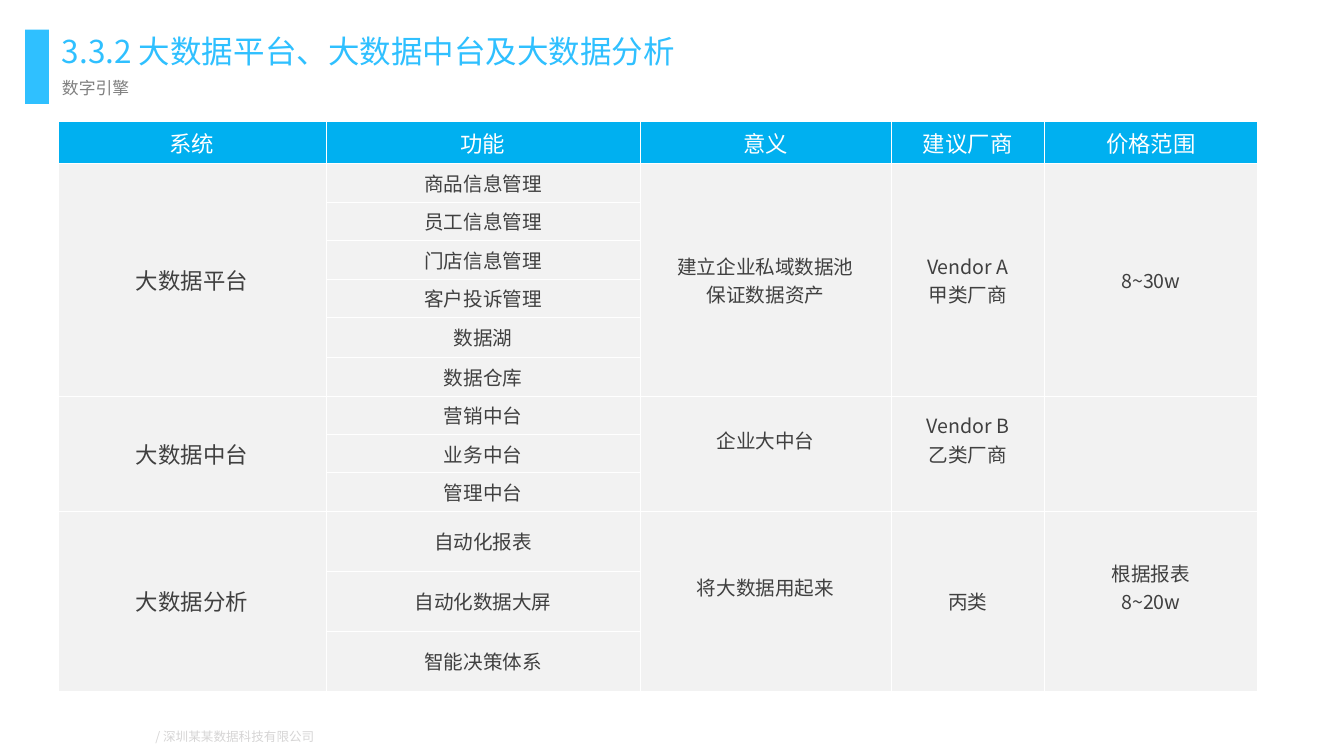
"""Build the slide on big data platforms, middle platforms and analysis."""
import pptx
import pptx.dml.color
import pptx.enum.shapes
import pptx.enum.text
import pptx.oxml
import pptx.oxml.ns
import pptx.util
from pptx.util import Inches

COLOURS = {
    "accent": "2FC0FF",
    "header": "00B0F0",
    "cell": "F2F2F2",
    "white": "FFFFFF",
    "text": "404040",
    "subtitle": "808080",
    "footer": "D6D5D5",
}
FONT = "Noto Sans CJK SC"
HEADINGS = ["系统", "功能", "意义", "建议厂商", "价格范围"]
COLUMN_WIDTHS = [5.32, 6.23, 4.98, 3.05, 4.22]
ROW_HEIGHTS = [0.83] + [0.75] * 4 + [0.8] + [0.75] * 4 + [1.19] * 3
BLANK_LINE = 0.56
SYSTEMS = [
    {
        "name": "大数据平台",
        "functions": ["商品信息管理", "员工信息管理", "门店信息管理",
                      "客户投诉管理", "数据湖", "数据仓库"],
        "details": [("建立企业私域数据池\n保证数据资产", 0), ("Vendor A\n甲类厂商", 0), ("8~30w", 0)],
    },
    {
        "name": "大数据中台",
        "functions": ["营销中台", "业务中台", "管理中台"],
        "details": [("企业大中台", BLANK_LINE), ("Vendor B\n乙类厂商", BLANK_LINE), ("", 0)],
    },
    {
        "name": "大数据分析",
        "functions": ["自动化报表", "自动化数据大屏", "智能决策体系"],
        "details": [("将大数据用起来", BLANK_LINE), ("丙类", 0), ("根据报表\n8~20w", BLANK_LINE)],
    },
]


def rgb(name):
    """Return the named palette colour."""
    return pptx.dml.color.RGBColor.from_string(COLOURS[name])


def write_text(frame, text, *, size, colour, align="CENTER"):
    """Fill a text frame with one formatted paragraph per line of text."""
    for index, line in enumerate(text.split("\n")):
        para = frame.add_paragraph() if index else frame.paragraphs[0]
        para.alignment = getattr(pptx.enum.text.PP_ALIGN, align)
        para.space_before = pptx.util.Pt(0)
        span = para.add_run()
        span.text = line
        span.font.size = pptx.util.Pt(size)
        span.font.bold = False
        span.font.color.rgb = rgb(colour)
        span.font.name = FONT
        east_asian = pptx.oxml.parse_xml(
            f'<a:ea {pptx.oxml.ns.nsdecls("a")} typeface="{FONT}"/>')
        span.font._element.append(east_asian)


def fill_box(box, place, text, **text_format):
    """Place a text box or placeholder and write its text."""
    box.left, box.top, box.width, box.height = map(Inches, place)
    frame = box.text_frame
    frame.word_wrap = True
    frame.auto_size = pptx.enum.text.MSO_AUTO_SIZE.NONE
    frame.vertical_anchor = pptx.enum.text.MSO_ANCHOR.MIDDLE
    frame.margin_left = frame.margin_right = Inches(0.08)
    frame.margin_top = frame.margin_bottom = Inches(0.08)
    write_text(frame, text, **text_format)


def add_accent_bar(page):
    """Draw the bar beside the title."""
    bar = page.shapes.add_shape(
        pptx.enum.shapes.MSO_SHAPE.RECTANGLE,
        Inches(0.5), Inches(0.59), Inches(0.47), Inches(1.47))
    bar.shadow.inherit = False
    bar.fill.solid()
    bar.fill.fore_color.rgb = rgb("accent")
    bar.line.fill.background()


def style_cell(cell, fill, bottom_width=1):
    """Give a cell white borders and a plain fill."""
    properties = cell._tc.get_or_add_tcPr()
    for side, width in (("L", 1), ("R", 1), ("T", 1), ("B", bottom_width)):
        properties.append(pptx.oxml.parse_xml(
            f'<a:ln{side} {pptx.oxml.ns.nsdecls("a")} w="{pptx.util.Pt(width)}"><a:solidFill>'
            f'<a:srgbClr val="{COLOURS["white"]}"/></a:solidFill></a:ln{side}>'))
    cell.fill.solid()
    cell.fill.fore_color.rgb = rgb(fill)


def fill_cell(cell, text, *, size=28, colour="text", margins=(0.2, 0.1), lift=0):
    """Write centred text in a cell, with extra room below when lifted."""
    side, edge = margins
    cell.vertical_anchor = pptx.enum.text.MSO_ANCHOR.MIDDLE
    cell.margin_left = cell.margin_right = Inches(side)
    cell.margin_top = Inches(edge)
    cell.margin_bottom = Inches(edge + lift)
    if text:
        write_text(cell.text_frame, text, size=size, colour=colour)


def add_system(table, top, system):
    """Write one system as a group of rows with merged outer cells."""
    bottom = top + len(system["functions"]) - 1
    for column in (0, 2, 3, 4):
        table.cell(top, column).merge(table.cell(bottom, column))
    fill_cell(table.cell(top, 0), system["name"], size=32, margins=(0.1, 0.03))
    for row, function in enumerate(system["functions"], top):
        fill_cell(table.cell(row, 1), function)
    for column, (text, lift) in enumerate(system["details"], 2):
        fill_cell(table.cell(top, column), text, lift=lift)
    return bottom + 1


def add_systems_table(page):
    """Add the table of systems, functions, meaning, vendors and prices."""
    table = page.shapes.add_table(
        len(ROW_HEIGHTS), len(COLUMN_WIDTHS), Inches(1.15), Inches(2.4),
        Inches(sum(COLUMN_WIDTHS)), Inches(sum(ROW_HEIGHTS))).table
    for column, width in zip(table.columns, COLUMN_WIDTHS):
        column.width = Inches(width)
    for index, height in enumerate(ROW_HEIGHTS):
        table.rows[index].height = Inches(height)
        for cell in table.rows[index].cells:
            if index:
                style_cell(cell, "cell")
            else:
                style_cell(cell, "header", bottom_width=3)
    for column, heading in enumerate(HEADINGS):
        fill_cell(table.cell(0, column), heading, size=32, colour="white")
    top = 1
    for system in SYSTEMS:
        top = add_system(table, top, system)


def main():
    """Build and save the deck."""
    deck = pptx.Presentation()
    deck.slide_width, deck.slide_height = Inches(26.67), Inches(15)
    page = deck.slides.add_slide(deck.slide_layouts[2])
    footer = page.shapes.add_textbox(0, 0, 0, 0)
    fill_box(footer, (2.99, 14.38, 3.34, 0.46), "/ 深圳某某数据科技有限公司",
             size=18, colour="footer")
    add_accent_bar(page)
    fill_box(page.shapes.title, (1.15, 0.59, 24.23, 0.83),
             "3.3.2 大数据平台、大数据中台及大数据分析", size=45, colour="accent", align="LEFT")
    fill_box(page.placeholders[1], (1.15, 1.47, 6.31, 0.56), "数字引擎",
             size=24, colour="subtitle", align="LEFT")
    add_systems_table(page)
    deck.save("out.pptx")


if __name__ == "__main__":
    main()
